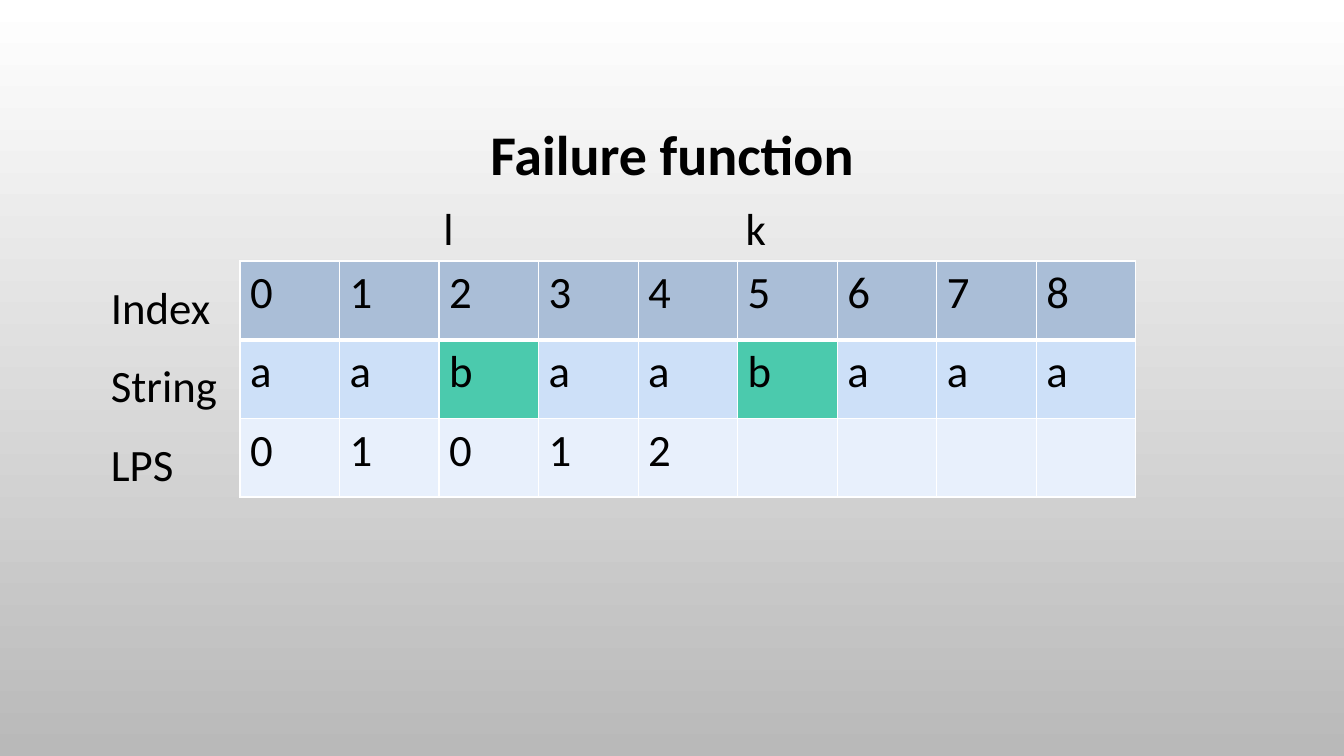
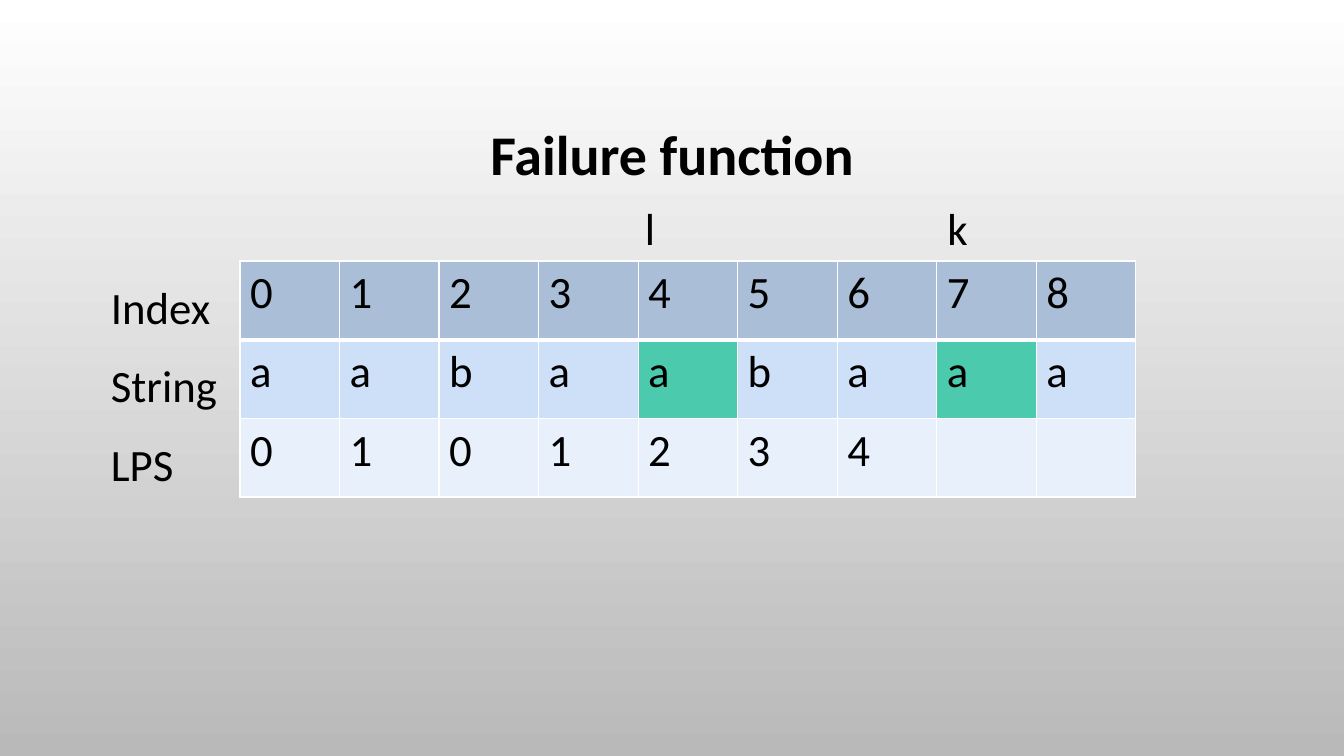
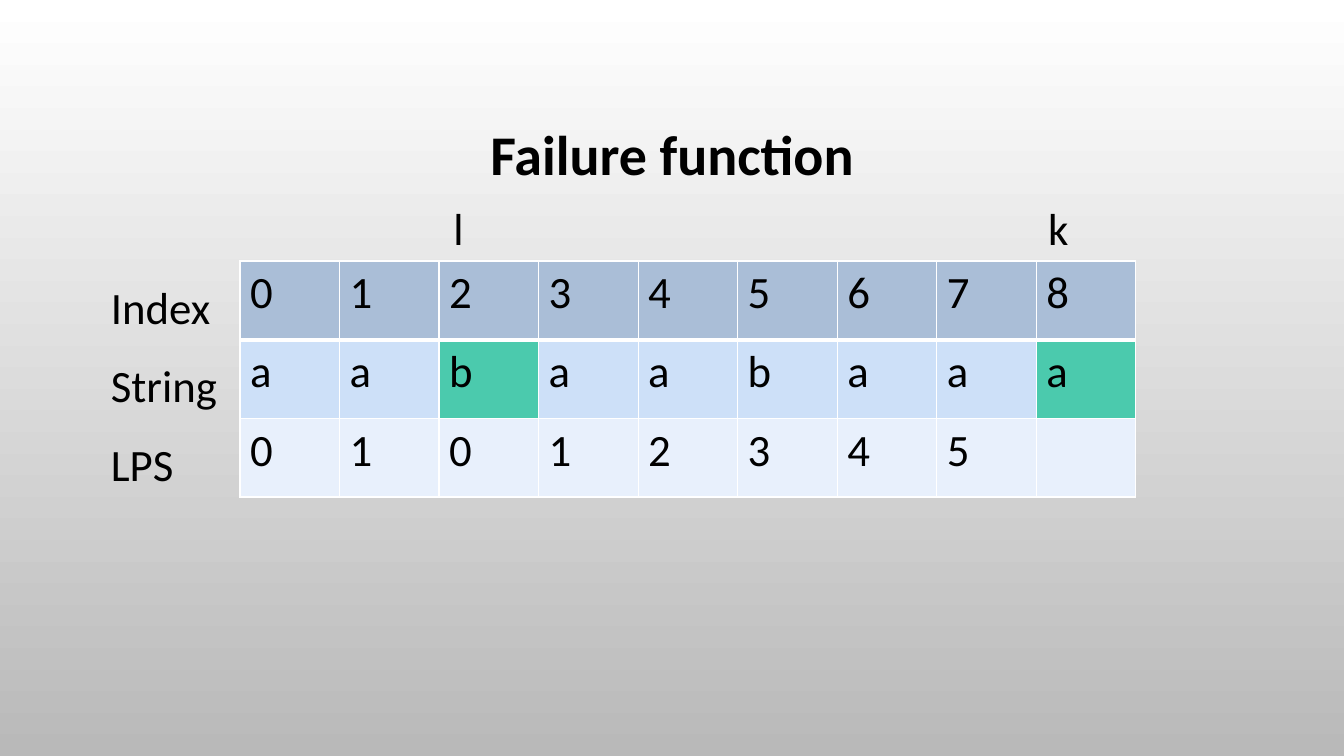
import pptx
import pptx.dml.color
import pptx.enum.text
import pptx.oxml
import pptx.oxml.ns
import pptx.util
from lxml import etree

# Shared scale, colours and type
SLIDE_WIDTH, SLIDE_HEIGHT = 1344, 756
EMU_PER_PX = 12192000 / SLIDE_WIDTH
FONT = "Calibri"
TITLE_SIZE, TEXT_SIZE = 40, 32
BLACK, WHITE, GREY = "000000", "FFFFFF", "B9B9B9"
ROW_FILLS = ("AABED7", "CDE0F8", "E8F0FC")
COMPARED_FILL = "4BCAAD"
TITLE_ONLY = 5

# Shared content
TITLE = "Failure function"
ROW_LABELS = ("Index", "String", "LPS")
STRING = "aabaabaaa"

# LPS values so far, columns of l and k, and shift of l in px
STEPS = (
    ("01012", (2, 5), 0),
    ("0101234", (4, 7), 0),
    ("01012345", (2, 8), 10),
)


def px(length):
    return pptx.util.Emu(round(length * EMU_PER_PX))


def rgb(colour):
    return pptx.dml.color.RGBColor.from_string(colour)


def set_font(paragraph, size, bold=False):
    font = paragraph.font
    font.name, font.size, font.bold = FONT, pptx.util.Pt(size), bold
    font.color.rgb = rgb(BLACK)


def set_background(master):
    fill = master.background.fill
    fill.gradient()
    fill.gradient_angle = 270
    for stop, colour, position in zip(fill.gradient_stops, (WHITE, GREY), (0, 1)):
        stop.color.rgb = rgb(colour)
        stop.position = position


def add_title(slide):
    title = slide.shapes.title
    title.left, title.top, title.width, title.height = map(px, (101, 69, 1142, 176))
    title.text_frame.text = TITLE
    title.text_frame.vertical_anchor = pptx.enum.text.MSO_ANCHOR.MIDDLE
    heading = title.text_frame.paragraphs[0]
    heading.alignment = pptx.enum.text.PP_ALIGN.CENTER
    heading.line_spacing = 0.9
    set_font(heading, TITLE_SIZE, bold=True)


def add_tab_stops(paragraph, positions):
    tabs = etree.SubElement(paragraph._p.get_or_add_pPr(), pptx.oxml.ns.qn("a:tabLst"))
    for position in positions:
        etree.SubElement(tabs, pptx.oxml.ns.qn("a:tab"), pos=str(position), algn="l")


def add_labels(slide, pointers, shift):
    """Write the pointer line above the table and the row names beside it."""
    labels = slide.shapes.add_textbox(*map(px, (101, 185, 1142, 504))).text_frame
    labels.word_wrap = True
    labels.text = "\n".join(("\tl\tk",) + ROW_LABELS)
    for number, line in enumerate(labels.paragraphs):
        line.line_spacing = 1.2
        if number == 0:
            add_tab_stops(line, [pptx.util.Inches(column + 1) + px(30 + nudge)
                                 for column, nudge in zip(pointers, (shift, 0))])
        else:
            line.space_before = pptx.util.Pt(10)
        set_font(line, TEXT_SIZE)


def set_borders(cell, widths):
    """Draw white borders; widths are points for left, right, top, bottom."""
    properties = cell._tc.get_or_add_tcPr()
    for side, width in zip("LRTB", widths):
        border = etree.SubElement(properties, pptx.oxml.ns.qn(f"a:ln{side}"),
                                  w=str(pptx.util.Pt(width)))
        fill = etree.SubElement(border, pptx.oxml.ns.qn("a:solidFill"))
        etree.SubElement(fill, pptx.oxml.ns.qn("a:srgbClr"), val=WHITE)


def add_lps_table(slide, lps, pointers):
    columns = len(STRING)
    rows = ("".join(map(str, range(columns))), STRING, lps.ljust(columns))
    table = slide.shapes.add_table(
        len(rows), columns, *map(px, (240, 261, 896, 236))).table
    table.first_row = table.horz_banding = False
    for r, values in enumerate(rows):
        for c, value in enumerate(values):
            cell = table.cell(r, c)
            cell.text = value.strip()
            set_font(cell.text_frame.paragraphs[0], TEXT_SIZE)
            # The line under the index row is thicker
            set_borders(cell, (1, 1, 3 if r == 1 else 1, 3 if r == 0 else 1))
            compared = r == 1 and c in pointers
            cell.fill.solid()
            cell.fill.fore_color.rgb = rgb(COMPARED_FILL if compared else ROW_FILLS[r])


def main():
    deck = pptx.Presentation()
    deck.slide_width, deck.slide_height = px(SLIDE_WIDTH), px(SLIDE_HEIGHT)
    set_background(deck.slide_master)
    for lps, pointers, shift in STEPS:
        slide = deck.slides.add_slide(deck.slide_layouts[TITLE_ONLY])
        add_title(slide)
        add_labels(slide, pointers, shift)
        add_lps_table(slide, lps, pointers)
    deck.save("out.pptx")


if __name__ == "__main__":
    main()
